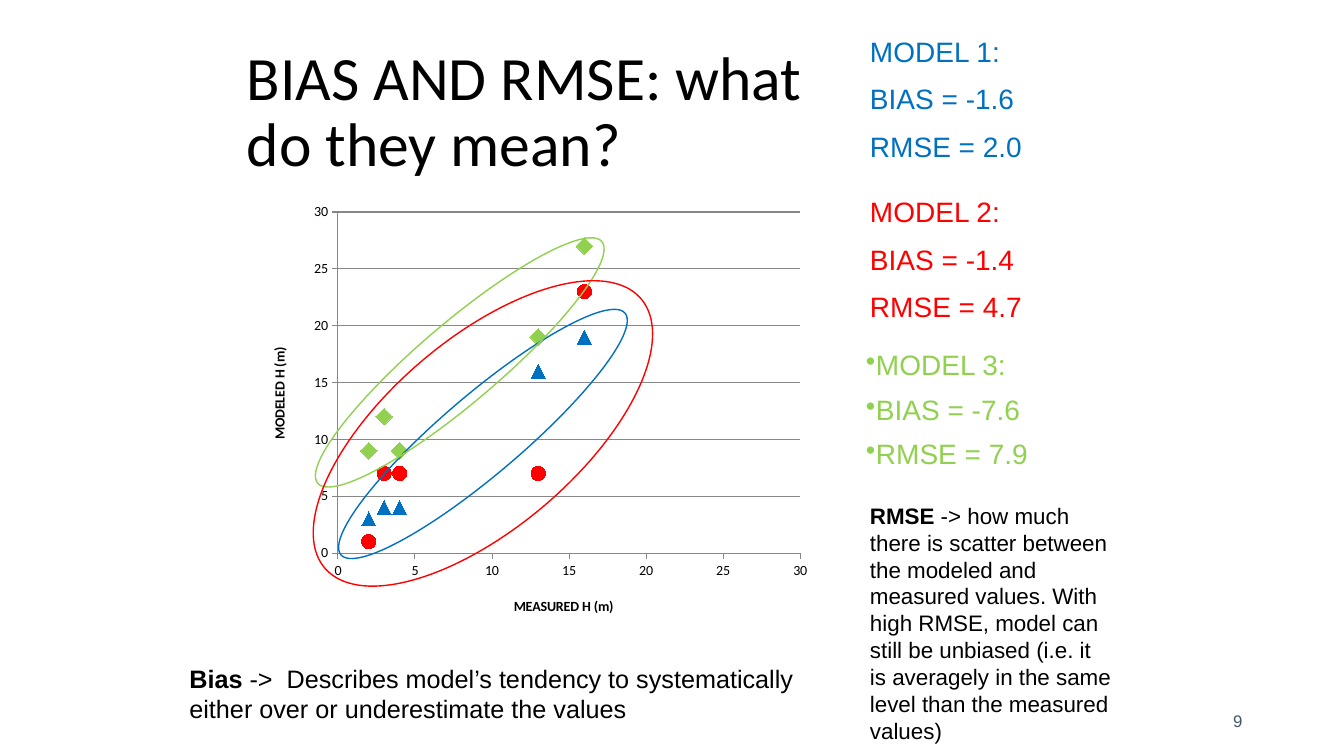
from lxml.etree import SubElement
from pptx import Presentation
from pptx.chart.data import XyChartData
from pptx.dml.color import RGBColor
from pptx.enum.chart import XL_CHART_TYPE, XL_MARKER_STYLE, XL_TICK_MARK
from pptx.enum.shapes import MSO_SHAPE
from pptx.enum.text import MSO_ANCHOR, PP_ALIGN
from pptx.oxml import parse_xml
from pptx.oxml.ns import nsdecls, qn
from pptx.util import Inches, Pt

BLACK = RGBColor(0, 0, 0)
BLUE = RGBColor(0x00, 0x70, 0xC0)
RED = RGBColor(0xFF, 0, 0)
GREEN = RGBColor(0x92, 0xD0, 0x50)
SLATE = RGBColor(0x44, 0x54, 0x6A)
GRAY = RGBColor(0x87, 0x87, 0x87)

TITLE = "BIAS AND RMSE: what do they mean?"
MODELS = [
    (["MODEL 1:", "BIAS = -1.6", "RMSE = 2.0"], (8.53, 0.29, 2.18, 1.57), BLUE, False),
    (["MODEL 2:", "BIAS = -1.4", "RMSE = 4.7"], (8.53, 1.88, 2.18, 1.57), RED, False),
    (["MODEL 3:", "BIAS = -7.6", "RMSE = 7.9"], (8.49, 3.44, 2.18, 1.57), GREEN, True),
]
DEFINITIONS = [
    ("Bias", " ->  Describes model’s tendency to systematically either over or "
     "underestimate the values", (1.78, 6.53, 6.38, 0.71), 18),
    ("RMSE", " -> how much there is scatter between the modeled and measured values. "
     "With high RMSE, model can still be unbiased (i.e. it is averagely in the same "
     "level than the measured values)", (8.53, 4.93, 2.61, 2.52), 16),
]
MEASURED = [4, 13, 16, 2, 3]
SERIES = [
    ("Series 1", [0, 30], [0, 30], XL_MARKER_STYLE.NONE, 2, BLACK),
    ("Series 2", MEASURED, [4, 16, 19, 3, 4], XL_MARKER_STYLE.TRIANGLE, 10, BLUE),
    ("Series 3", MEASURED, [9, 19, 27, 9, 12], XL_MARKER_STYLE.DIAMOND, 12, GREEN),
    ("Series 4", MEASURED, [7, 7, 23, 1, 7], XL_MARKER_STYLE.CIRCLE, 10, RED),
]
CHART_BOX = (2.41, 1.94, 5.71, 4.3)
PLOT_LAYOUT = {"x": 0.165, "y": 0.038, "w": 0.803, "h": 0.787}
AXIS_TITLES = [
    ("MEASURED H (m)", {"x": 0.466, "y": 0.92}, "0"),
    ("MODELED H (m)", {"x": 0.043, "y": 0.345}, "-5400000"),
]
ELLIPSES = [
    ((2.94, 3.91, 3.7, 0.79), BLUE),
    ((2.71, 3.2, 3.7, 0.79), GREEN),
    ((2.73, 3.36, 4.12, 1.88), RED),
]
TILT = 319.6


def inches(box):
    return [Inches(length) for length in box]


def add_text(page, lines, box, size, color, font="Arial", anchor=MSO_ANCHOR.TOP):
    frame = page.shapes.add_textbox(*inches(box)).text_frame
    frame.word_wrap = True
    frame.vertical_anchor = anchor
    frame.text = "\n".join(lines)
    for para in frame.paragraphs:
        para.font.size = Pt(size)
        for span in para.runs:
            style(span.font, size, color, font)
    return frame


def style(font, size, color, name="Arial"):
    font.size = Pt(size)
    font.name = name
    font.color.rgb = color


def place(parent, position, fractions):
    for old in parent.findall(qn("c:layout")):
        parent.remove(old)
    layout = parse_xml(f'<c:layout {nsdecls("c")}><c:manualLayout/></c:layout>')
    manual = layout[0]
    if "w" in fractions:
        SubElement(manual, qn("c:layoutTarget")).set("val", "inner")
    for axis in "xy":
        SubElement(manual, qn(f"c:{axis}Mode")).set("val", "edge")
    for key, value in fractions.items():
        SubElement(manual, qn(f"c:{key}")).set("val", str(value))
    parent.insert(position, layout)


def add_scatter(page):
    data = XyChartData()
    for name, xs, ys, *_ in SERIES:
        series = data.add_series(name)
        for x, y in zip(xs, ys):
            series.add_data_point(x, y)
    chart = page.shapes.add_chart(XL_CHART_TYPE.XY_SCATTER, *inches(CHART_BOX), data).chart
    chart.has_legend = False
    chart.has_title = False
    style(chart.font, 10, BLACK, "Calibri")
    plot = chart.plots[0]
    plot.vary_by_categories = False
    for series, (_, _, _, symbol, size, color) in zip(plot.series, SERIES):
        series.smooth = False
        series.format.line.fill.background()
        series.marker.style = symbol
        series.marker.size = size
        series.marker.format.fill.solid()
        series.marker.format.fill.fore_color.rgb = color
        series.marker.format.line.fill.background()
    axes = (chart.category_axis, chart.value_axis)
    for axis, (text, position, rotation) in zip(axes, AXIS_TITLES):
        axis.minimum_scale, axis.maximum_scale, axis.major_unit = 0, 30, 5
        axis.major_tick_mark = XL_TICK_MARK.OUTSIDE
        axis.minor_tick_mark = XL_TICK_MARK.NONE
        axis.format.line.color.rgb = GRAY
        axis.tick_labels.number_format = "0"
        axis.tick_labels.number_format_is_linked = False
        frame = axis.axis_title.text_frame
        frame.text = text
        font = frame.paragraphs[0].runs[0].font
        style(font, 10, BLACK, "Calibri")
        font.bold = True
        body = frame._txBody.bodyPr
        body.set("rot", rotation)
        body.set("vert", "horz")
        place(axis.axis_title._element, 1, position)
    chart.category_axis.has_major_gridlines = False
    chart.value_axis.has_major_gridlines = True
    chart.value_axis.major_gridlines.format.line.color.rgb = GRAY
    place(chart._chartSpace.chart.plotArea, 0, PLOT_LAYOUT)


def main():
    deck = Presentation()
    deck.slide_width, deck.slide_height = Inches(13.33), Inches(7.5)
    page = deck.slides.add_slide(deck.slide_layouts[6])

    title = add_text(page, [TITLE], (2.35, 0.4, 6.18, 1.45), 44, BLACK, "Calibri",
                     MSO_ANCHOR.MIDDLE)
    title.paragraphs[0].line_spacing = 0.9

    for lines, box, color, bulleted in MODELS:
        for para in add_text(page, lines, box, 20, color).paragraphs:
            if bulleted:
                para.line_spacing = 0.9
                para.space_before = Pt(10)
                SubElement(para._p.get_or_add_pPr(), qn("a:buChar")).set("char", "•")
                bullet = para._p.pPr.find(qn("a:buChar"))
                default = para._p.pPr.find(qn("a:defRPr"))
                if default is not None:
                    default.addprevious(bullet)
            else:
                para.space_before = Pt(4)
                para.space_after = Pt(6)

    number = add_text(page, ["9"], (9.42, 6.95, 3, 0.4), 12, SLATE, anchor=MSO_ANCHOR.MIDDLE)
    number.paragraphs[0].alignment = PP_ALIGN.RIGHT

    add_scatter(page)

    for box, color in ELLIPSES:
        ellipse = page.shapes.add_shape(MSO_SHAPE.OVAL, *inches(box))
        ellipse.rotation = TILT
        ellipse.shadow.inherit = False
        ellipse.fill.background()
        ellipse.line.color.rgb = color
        ellipse.line.width = Pt(1)

    for term, meaning, box, size in DEFINITIONS:
        para = add_text(page, [term], box, size, BLACK).paragraphs[0]
        para.runs[0].font.bold = True
        span = para.add_run()
        span.text = meaning
        style(span.font, size, BLACK)

    deck.save("out.pptx")


if __name__ == "__main__":
    main()
